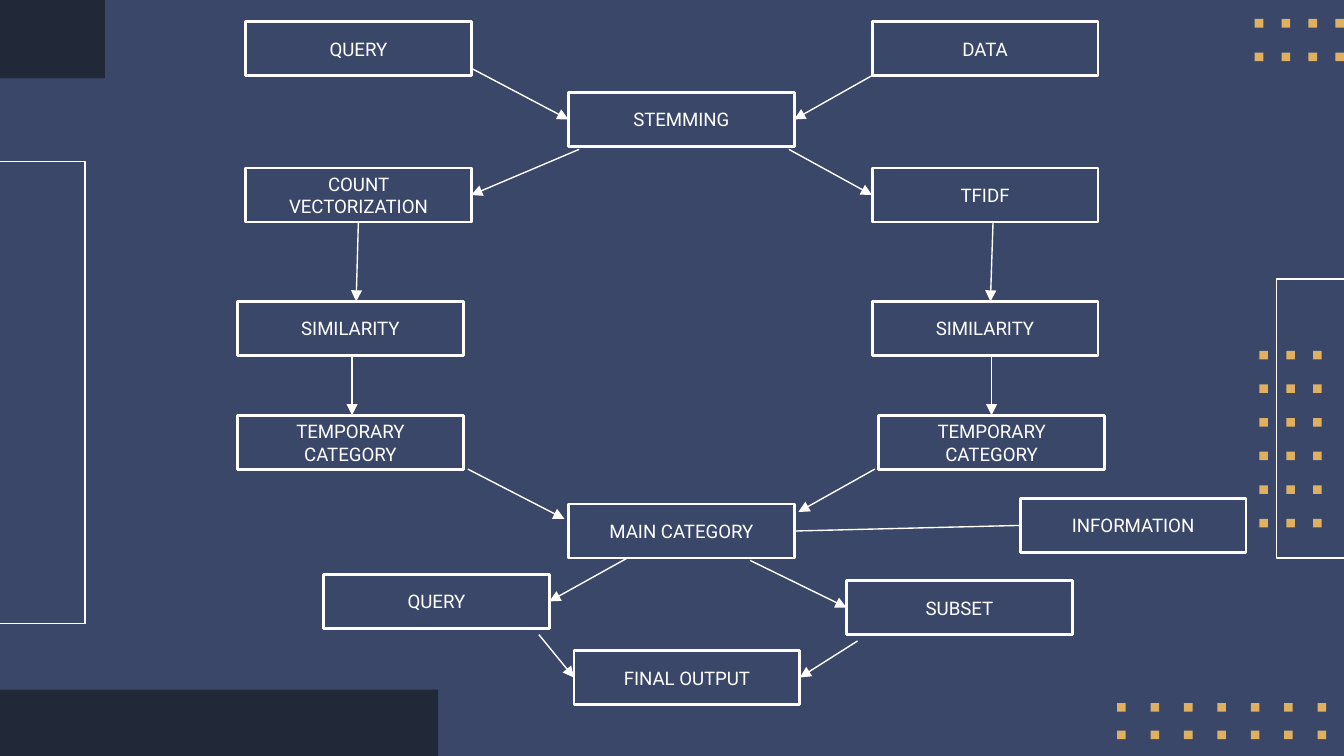
from lxml.etree import SubElement
from pptx import Presentation
from pptx.dml.color import RGBColor
from pptx.enum.shapes import MSO_CONNECTOR, MSO_SHAPE
from pptx.enum.text import MSO_ANCHOR, PP_ALIGN
from pptx.oxml.ns import qn
from pptx.util import Pt

COLORS = {"ground": "3A4769", "dark": "212838", "gold": "DFB05F", "white": "FFFFFF"}
TOP, LEFT, BOTTOM, RIGHT = range(4)  # connection sites of a rectangle


def rgb(name):
    return RGBColor.from_string(COLORS[name])


def write_text(shape, text, font="Roboto", size=10, color="white",
               align=PP_ALIGN.CENTER, anchor=MSO_ANCHOR.MIDDLE, inset=7.2):
    frame = shape.text_frame
    frame.word_wrap = True
    frame.vertical_anchor = anchor
    frame.margin_left = frame.margin_right = Pt(inset)
    frame.margin_top = frame.margin_bottom = Pt(inset)
    paragraph = frame.paragraphs[0]
    paragraph.alignment = align
    run = paragraph.add_run()
    run.text = text
    run.font.name = font
    run.font.size = Pt(size)
    run.font.color.rgb = rgb(color)


class FlowSlide:
    box_width, box_height = 121, 29
    box_line, thin_line = 1.5, 0.75
    dot_size = 4.6

    def __init__(self, slide):
        self.slide = slide
        slide.background.fill.solid()
        slide.background.fill.fore_color.rgb = rgb("ground")

    def stroke(self, shape, width):
        shape.line.color.rgb = rgb("white")
        shape.line.width = Pt(width)

    def block(self, left, top, width, height, color):
        block = self.slide.shapes.add_shape(
            MSO_SHAPE.RECTANGLE, Pt(left), Pt(top), Pt(width), Pt(height))
        block.shadow.inherit = False
        block.fill.solid()
        block.fill.fore_color.rgb = rgb(color)
        block.line.fill.background()

    def dots(self, left, top, columns, rows, column_step, row_step):
        for row in range(rows):
            for column in range(columns):
                self.block(left + column * column_step, top + row * row_step,
                           self.dot_size, self.dot_size, "gold")

    def open_frame(self, edge, side, top, bottom):
        """Draw a three-sided frame that opens onto a slide edge."""
        builder = self.slide.shapes.build_freeform(Pt(edge), Pt(top))
        corners = [(side, top), (side, bottom), (edge, bottom)]
        builder.add_line_segments([(Pt(x), Pt(y)) for x, y in corners], close=False)
        frame = builder.convert_to_shape()
        frame.shadow.inherit = False
        frame.fill.background()
        self.stroke(frame, self.thin_line)

    def step(self, text, left, top):
        step = self.slide.shapes.add_shape(
            MSO_SHAPE.RECTANGLE, Pt(left), Pt(top), Pt(self.box_width), Pt(self.box_height))
        step.shadow.inherit = False
        step.fill.background()
        self.stroke(step, self.box_line)
        write_text(step, text)
        return step

    def link(self, start, end, arrow=True):
        """Join two ends, each an (x, y) point or a (step, site) pair."""
        link = self.slide.shapes.add_connector(MSO_CONNECTOR.STRAIGHT, 0, 0, 0, 0)
        if isinstance(start[0], (int, float)):
            link.begin_x, link.begin_y = map(Pt, start)
        else:
            link.begin_connect(*start)
        if isinstance(end[0], (int, float)):
            link.end_x, link.end_y = map(Pt, end)
        else:
            link.end_connect(*end)
        self.stroke(link, self.thin_line)
        if arrow:
            SubElement(link.line._get_or_add_ln(), qn("a:tailEnd"), type="triangle")
        SubElement(link._element.spPr, qn("a:effectLst"))


def main():
    deck = Presentation()
    deck.slide_width, deck.slide_height = Pt(720), Pt(405)
    flow = FlowSlide(deck.slides.add_slide(deck.slide_layouts[6]))

    flow.block(0, 0, 56.2, 42, "dark")
    flow.block(0, 369.5, 234.7, 35.5, "dark")
    flow.open_frame(720, 684, 149.5, 299)
    flow.dots(598.5, 376.7, 7, 2, 17.9, 14.7)
    flow.dots(674.7, 188, 3, 6, 14.4, 18)
    flow.dots(672.2, 10.2, 4, 2, 14.4, 18)
    flow.open_frame(0, 45.5, 86.5, 334)

    query = flow.step("QUERY", 131.5, 11.5)
    data = flow.step("DATA", 467.2, 11.5)
    tfidf = flow.step("TFIDF", 467.2, 90)
    count = flow.step("COUNT VECTORIZATION", 131.5, 90)
    stemming = flow.step("STEMMING", 304.5, 49.5)
    count_similarity = flow.step("SIMILARITY", 127.2, 161.5)
    tfidf_similarity = flow.step("SIMILARITY", 467.2, 161.5)
    count_category = flow.step("TEMPORARY CATEGORY", 127.2, 222.5)
    tfidf_category = flow.step("TEMPORARY CATEGORY", 470.7, 222.5)
    main_category = flow.step("MAIN CATEGORY", 304.5, 270)
    information = flow.step("INFORMATION", 546.5, 267)
    subset = flow.step("SUBSET", 453.5, 311)
    final_query = flow.step("QUERY", 173.3, 307.7)
    final_output = flow.step("FINAL OUTPUT", 307.5, 348.5)

    flow.link((252.7, 36.7), (stemming, LEFT))
    flow.link((467.2, 40.5), (stemming, RIGHT))
    flow.link((count, BOTTOM), (190.8, 161.5))
    flow.link((532, 119), (530.6, 161.5))
    flow.link((188.6, 190.5), (188.6, 222.5))
    flow.link((531.2, 190.5), (531.2, 222.5))
    flow.link((250.6, 251.3), (302.4, 278))
    flow.link((468.7, 251.3), (427.7, 274.3))
    flow.link((main_category, RIGHT), (information, LEFT), arrow=False)
    flow.link((336, 299), (final_query, RIGHT))
    flow.link((401.8, 300.2), (subset, LEFT))
    flow.link((288.7, 340), (final_output, LEFT))
    flow.link((459.4, 343.4), (final_output, RIGHT))
    flow.link((310.3, 80), (count, RIGHT))
    flow.link((422.6, 80), (tfidf, LEFT))

    deck.save("out.pptx")


if __name__ == "__main__":
    main()
